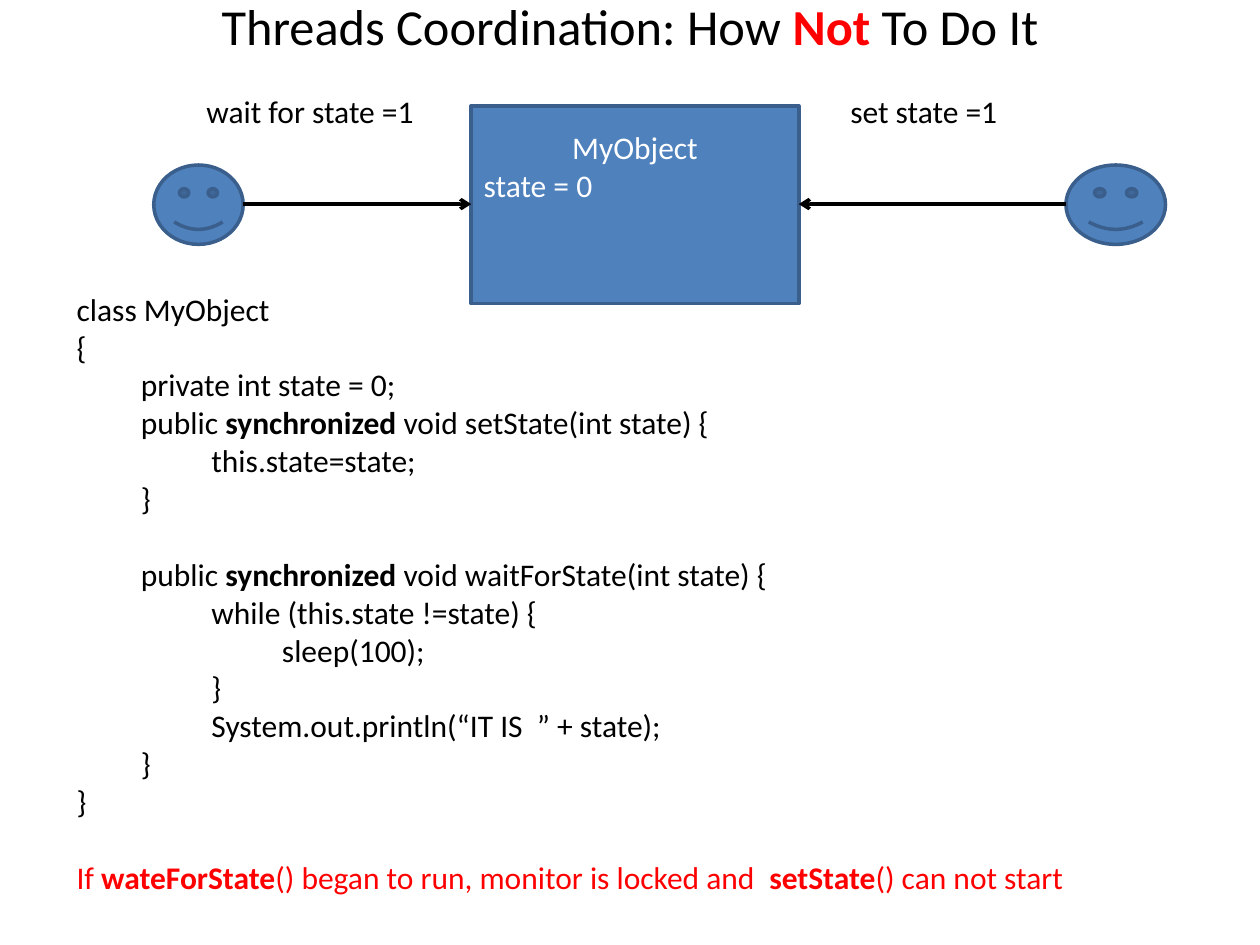
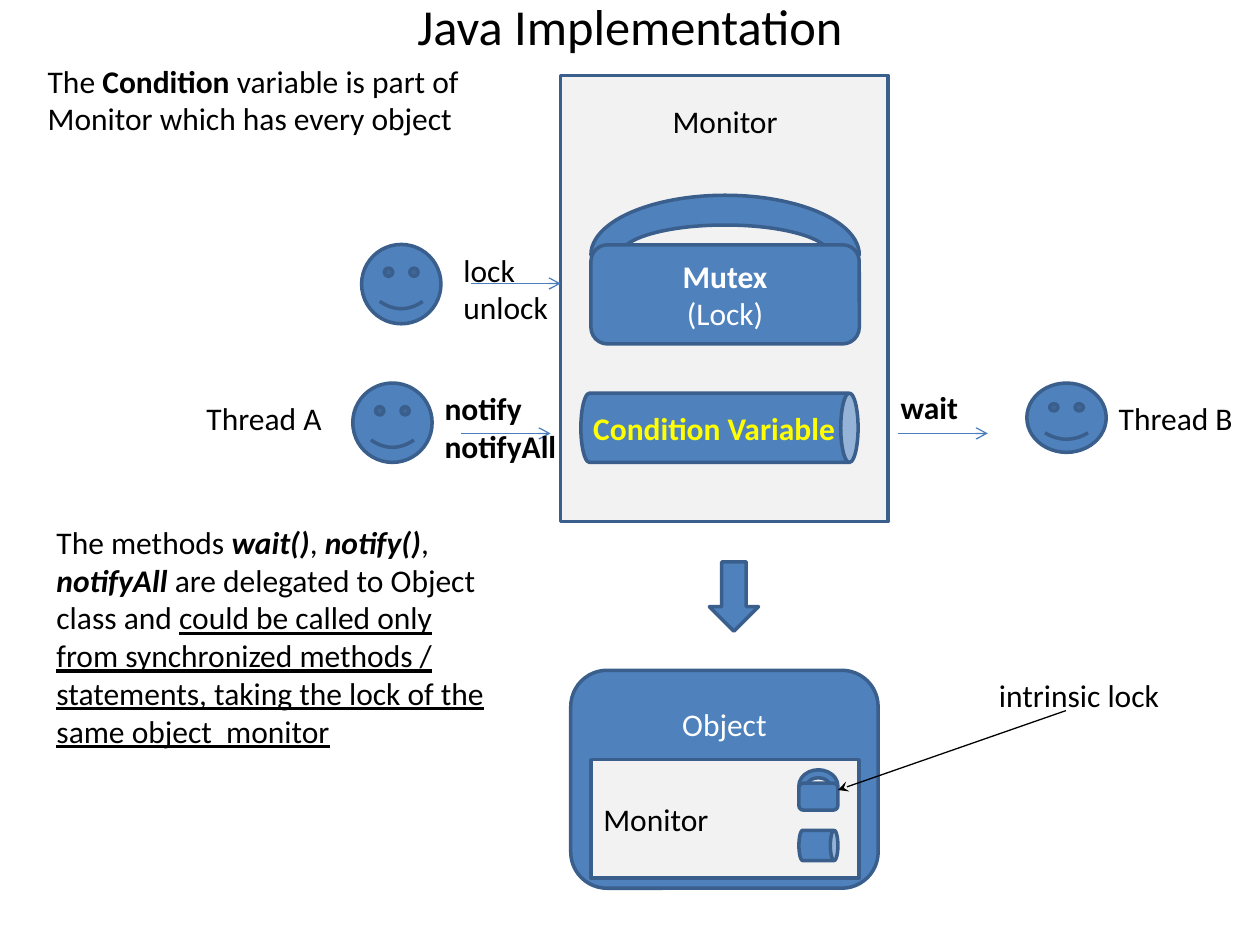
from lxml import etree
from pptx import Presentation
from pptx.dml.color import RGBColor
from pptx.enum.shapes import MSO_CONNECTOR, MSO_SHAPE
from pptx.enum.text import MSO_ANCHOR, MSO_AUTO_SIZE, PP_ALIGN
from pptx.oxml.ns import qn
from pptx.util import Inches, Pt

STRAIGHT = MSO_CONNECTOR.STRAIGHT
RECTANGLE = MSO_SHAPE.RECTANGLE
ROUNDED = MSO_SHAPE.ROUNDED_RECTANGLE
SMILEY = MSO_SHAPE.SMILEY_FACE
ARC = MSO_SHAPE.BLOCK_ARC
CAN = MSO_SHAPE.CAN
DOWN_ARROW = MSO_SHAPE.DOWN_ARROW
TOP, MIDDLE = MSO_ANCHOR.TOP, MSO_ANCHOR.MIDDLE
LEFT, CENTER = PP_ALIGN.LEFT, PP_ALIGN.CENTER
NO_FIT = MSO_AUTO_SIZE.NONE

BLACK, WHITE, RED, YELLOW = "000000", "FFFFFF", "FF0000", "FFFF00"
BLUE, OUTLINE, THIN_BLUE, GREY = "4F81BD", "3A5F8C", "4B7EBC", "F2F2F2"
FONT = "Calibri"
TITLE_SIZE, TEXT_SIZE, LINE_HEIGHT = 28.8, 18, 22
TITLE_LAYOUT = 5
INDENTS = (0, 0.51, 1.07, 1.63)


def color(value):
    """Turn a hex string into a colour."""
    return RGBColor.from_string(value)


class Deck:
    """The shared style and the slide being drawn."""

    def __init__(self):
        """Start a 10 by 7.5 inch presentation."""
        self.presentation = Presentation()
        self.presentation.slide_width = Inches(10)
        self.presentation.slide_height = Inches(7.5)
        self.slide = None

    def new_slide(self, title):
        """Add a slide with its title."""
        layout = self.presentation.slide_layouts[TITLE_LAYOUT]
        self.slide = self.presentation.slides.add_slide(layout)
        shape = self.slide.shapes.title
        shape.left, shape.top = Inches(0.5), Inches(-0.03)
        shape.width, shape.height = Inches(9), Inches(0.46)
        shape.text_frame.auto_size = NO_FIT
        shape.text_frame.vertical_anchor = MIDDLE
        self.fill_text(shape.text_frame, [title], align=CENTER, size=TITLE_SIZE)

    def fill_text(self, frame, lines, ink=BLACK, align=LEFT, size=TEXT_SIZE):
        """Fill a frame; a line is a string or a list of (text, style letters)."""
        frame.word_wrap = True
        for index, line in enumerate(lines):
            paragraph = frame.add_paragraph() if index else frame.paragraphs[0]
            paragraph.alignment = align
            paragraph.font.name = FONT
            paragraph.font.size = Pt(size)
            paragraph.font.color.rgb = color(ink)
            for text, style in [(line, "")] if isinstance(line, str) else line:
                run = paragraph.add_run()
                run.text = text
                if "b" in style:
                    run.font.bold = True
                if "i" in style:
                    run.font.italic = True
                if "u" in style:
                    run.font.underline = True
                if "r" in style:
                    run.font.color.rgb = color(RED)

    def text(self, left, top, width, height, lines, ink=BLACK, align=LEFT):
        """Add a text box and return its frame."""
        box = self.slide.shapes.add_textbox(
            Inches(left), Inches(top), Inches(width), Inches(height))
        self.fill_text(box.text_frame, lines, ink, align)
        return box.text_frame

    def code(self, left, top, width, height, rows):
        """Add a listing of (indent level, gap before, line) rows."""
        frame = self.text(left, top, width, height, [line for _, _, line in rows])
        for paragraph, (level, gap, _) in zip(frame.paragraphs, rows):
            properties = paragraph._p.get_or_add_pPr()
            properties.set("marL", str(Inches(INDENTS[level])))
            properties.set("indent", "0")
            if gap:
                paragraph.space_before = Pt(LINE_HEIGHT)
        return frame

    def shape(self, kind, left, top, width, height, fill=BLUE):
        """Add an outlined preset shape."""
        shape = self.slide.shapes.add_shape(
            kind, Inches(left), Inches(top), Inches(width), Inches(height))
        shape.shadow.inherit = False
        shape.fill.solid()
        shape.fill.fore_color.rgb = color(fill)
        shape.line.color.rgb = color(OUTLINE)
        shape.line.width = Pt(2)
        return shape

    def label(self, shape, lines, ink=WHITE, align=CENTER, top=None):
        """Put text inside a shape, in the middle or at a distance from its top."""
        frame = shape.text_frame
        frame.vertical_anchor = MIDDLE
        if top is not None:
            frame.vertical_anchor = TOP
            frame.margin_top = Inches(top)
        self.fill_text(frame, lines, ink, align)

    def can(self, left, top, width, height):
        """Add a can lying on its side, given its visible bounds."""
        shift = (width - height) / 2
        self.shape(CAN, left + shift, top - shift, height, width).rotation = 90

    def lock(self, left, top, width, height):
        """Add a padlock and return its body."""
        self.shape(ARC, left, top, width, height * 0.8)
        return self.shape(ROUNDED, left, top + height / 3, width, height * 2 / 3)

    def arrow(self, start, end, ink=THIN_BLUE, weight=0.75, head="arrow"):
        """Add a straight arrow from start to end."""
        line = self.slide.shapes.add_connector(
            STRAIGHT, *(Inches(value) for value in (*start, *end)))
        line.line.color.rgb = color(ink)
        line.line.width = Pt(weight)
        etree.SubElement(line.line._get_or_add_ln(), qn("a:tailEnd"), type=head)
        etree.SubElement(line._element.spPr, qn("a:effectLst"))


def draw_coordination(deck):
    """Draw the slide on faulty coordination."""
    deck.new_slide([("Threads Coordination: How ", ""), ("Not", "br"), (" To Do It", "")])
    target = deck.shape(RECTANGLE, 3.74, 0.84, 2.6, 1.57)
    deck.label(target, ["MyObject", "state = 0"], top=0.18)
    target.text_frame.paragraphs[1].alignment = LEFT
    deck.shape(SMILEY, 1.22, 1.31, 0.71, 0.63)
    deck.shape(SMILEY, 8.46, 1.31, 0.79, 0.63)
    for start, end in ((1.93, 3.74), (8.46, 6.34)):
        deck.arrow((start, 1.62), (end, 1.62), BLACK, 2)
    deck.text(1.54, 0.68, 2.1, 0.4, ["wait for state =1"])
    deck.text(6.65, 0.68, 1.97, 0.4, ["set state =1"])

    def method(signature):
        """Give the runs of a synchronized method's first line."""
        return [("public ", ""), ("synchronized", "b"), (f" void {signature} {{", "")]

    frame = deck.code(0.51, 2.25, 8.74, 4.95, [
        (0, False, "class MyObject"),
        (0, False, "{"),
        (1, False, "private int state = 0;"),
        (1, False, method("setState(int state)")),
        (2, False, "this.state=state;"),
        (1, False, "}"),
        (1, True, method("waitForState(int state)")),
        (2, False, "while (this.state !=state) {"),
        (3, False, "sleep(100);"),
        (2, False, "}"),
        (2, False, "System.out.println(“IT IS  ” + state);"),
        (1, False, "}"),
        (0, False, "}"),
        (0, True, [("If ", ""), ("wateForState", "b"),
                   ("() began to run, monitor is locked and  ", ""),
                   ("setState", "b"), ("() can not start", "")]),
    ])
    frame.paragraphs[-1].font.color.rgb = color(RED)


def draw_implementation(deck):
    """Draw the slide on monitors in Java."""
    deck.new_slide("Java Implementation")
    deck.shape(RECTANGLE, 4.45, 0.6, 2.6, 3.54, GREY)
    deck.text(4.69, 0.76, 2.13, 0.4, ["Monitor"], align=CENTER)
    mutex = deck.lock(4.69, 1.55, 2.13, 1.18)
    deck.label(mutex, [[("Mutex", "b")], "(Lock)"])
    deck.can(4.61, 3.12, 2.2, 0.55)
    deck.text(4.61, 3.2, 2.28, 0.4, [[("Condition Variable", "b")]], YELLOW)

    deck.shape(SMILEY, 2.87, 1.94, 0.63, 0.63)
    deck.shape(SMILEY, 2.8, 3.04, 0.63, 0.63)
    deck.shape(SMILEY, 8.15, 3.04, 0.63, 0.55)
    for left, top in ((3.74, 2.25), (3.66, 3.44), (7.13, 3.44)):
        deck.arrow((left, top), (left + 0.71, top))
    deck.text(3.58, 1.94, 1.1, 0.71, ["lock", "unlock"])
    deck.text(3.43, 3.04, 1.1, 0.71, [[("notify", "b")], [("notifyAll", "b")]])
    deck.text(7.05, 3.03, 1.1, 0.4, [[("wait", "b")]])
    deck.text(1.54, 3.12, 1.22, 0.4, ["Thread A"])
    deck.text(8.78, 3.12, 1.22, 0.4, ["Thread B"])

    deck.shape(DOWN_ARROW, 5.63, 4.46, 0.39, 0.55)
    deck.label(deck.shape(ROUNDED, 4.53, 5.32, 2.44, 1.73), ["Object"], top=0.19)
    monitor = deck.shape(RECTANGLE, 4.69, 6.03, 2.13, 0.94, GREY)
    deck.label(monitor, ["Monitor"], BLACK, LEFT)
    deck.lock(6.34, 6.11, 0.31, 0.32)
    deck.can(6.34, 6.59, 0.31, 0.24)
    deck.text(7.83, 5.32, 1.73, 0.4, ["intrinsic lock"])
    deck.arrow((8.46, 5.64), (6.65, 6.27), BLACK, head="stealth")

    deck.text(0.28, 0.44, 3.86, 0.71, [[
        ("The ", ""), ("Condition", "b"),
        ("\u00a0variable is part of Monitor which has every object", "")]])
    deck.text(0.35, 4.1, 3.7, 1.92, [[
        ("The methods ", ""), ("wait()", "bi"), (", ", ""), ("notify()", "bi"),
        (", ", ""), ("notifyAll", "bi"), (" are delegated to Object class and ", ""),
        ("could be called only from synchronized methods / statements, "
         "taking the lock of the same object  monitor", "u")]])


deck = Deck()
draw_coordination(deck)
draw_implementation(deck)
deck.presentation.save("out.pptx")
